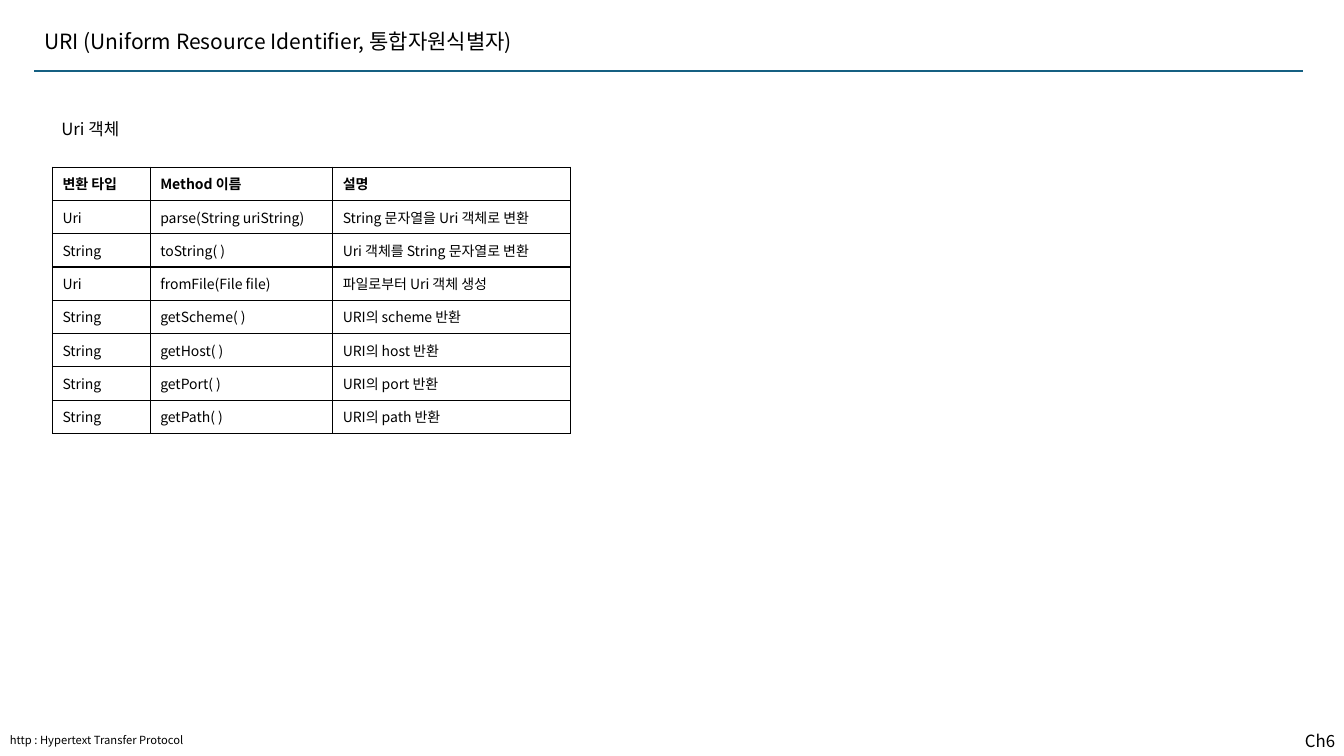
from lxml import etree
from pptx import Presentation
from pptx.dml.color import RGBColor
from pptx.enum.shapes import MSO_CONNECTOR
from pptx.enum.text import MSO_ANCHOR, MSO_AUTO_SIZE, PP_ALIGN
from pptx.oxml.ns import qn
from pptx.util import Pt

PX = 9144
FONT = "Noto Sans CJK KR"
BLACK = RGBColor(0x00, 0x00, 0x00)
WHITE = RGBColor(0xFF, 0xFF, 0xFF)
BLUE = RGBColor(0x15, 0x60, 0x82)
STRAIGHT = MSO_CONNECTOR.STRAIGHT
TOP, MIDDLE = MSO_ANCHOR.TOP, MSO_ANCHOR.MIDDLE
GROW = MSO_AUTO_SIZE.SHAPE_TO_FIT_TEXT
LEFT, RIGHT = PP_ALIGN.LEFT, PP_ALIGN.RIGHT

COLUMN_WIDTHS = (97, 181, 236)
ROW_HEIGHT = 33
URI_METHODS = (
    ("변환 타입", "Method 이름", "설명"),
    ("Uri", "parse(String uriString)", "String 문자열을 Uri 객체로 변환"),
    ("String", "toString( )", "Uri 객체를 String 문자열로 변환"),
    ("Uri", "fromFile(File file)", "파일로부터 Uri 객체 생성"),
    ("String", "getScheme( )", "URI의 scheme 반환"),
    ("String", "getHost( )", "URI의 host 반환"),
    ("String", "getPort( )", "URI의 port 반환"),
    ("String", "getPath( )", "URI의 path 반환"),
)


def px(*lengths):
    return [n * PX for n in lengths]


def write(tf, text, size, bold=False, align=LEFT, spacing=1.0):
    p = tf.paragraphs[0]
    p.alignment, p.line_spacing = align, spacing
    r = p.add_run()
    r.text = text
    for name, value in {"name": FONT, "size": Pt(size), "bold": bold}.items():
        setattr(r.font, name, value)
    r.font.color.rgb = BLACK
    etree.SubElement(r.font._element, qn("a:ea"), typeface=FONT)


def add_label(s, box, text, size, **format_values):
    tf = s.shapes.add_textbox(*px(*box)).text_frame
    tf.word_wrap, tf.auto_size = True, GROW
    write(tf, text, size, **format_values)


def add_header(s, box, text):
    x, y, w, h = box
    title = s.shapes.title
    title.left, title.top, title.width, title.height = px(x, y, 600, 35)
    tf = title.text_frame
    tf.word_wrap, tf.auto_size, tf.vertical_anchor = True, GROW, TOP
    write(tf, text, 15)
    rule = s.shapes.add_connector(STRAIGHT, *px(x, y + h, x + w, y + h))
    rule.line.color.rgb, rule.line.width = BLUE, Pt(1.5)
    etree.SubElement(rule._element.spPr, qn("a:effectLst"))


def add_border(cell):
    tcPr = cell._tc.get_or_add_tcPr()
    for i, side in enumerate(("lnL", "lnR", "lnT", "lnB")):
        ln = etree.Element(qn(f"a:{side}"), w=str(Pt(1)))
        fill = etree.SubElement(ln, qn("a:solidFill"))
        etree.SubElement(fill, qn("a:srgbClr"), val=str(BLACK))
        tcPr.insert(i, ln)


def add_method_table(s, box):
    frame = s.shapes.add_table(len(URI_METHODS), len(COLUMN_WIDTHS), *px(*box))
    table = frame.table
    table.horz_banding = False
    for column, width in zip(table.columns, COLUMN_WIDTHS):
        column.width = width * PX
    for i, texts in enumerate(URI_METHODS):
        table.rows[i].height = ROW_HEIGHT * PX
        for j, text in enumerate(texts):
            cell = table.cell(i, j)
            cell.fill.solid()
            cell.fill.fore_color.rgb = WHITE
            cell.vertical_anchor = MIDDLE
            write(cell.text_frame, text, 10, bold=i == 0)
            add_border(cell)


def add_uri_section(s, box):
    x, y, w, h = box
    add_label(s, (x, y, w, 62), "Uri 객체", 12, spacing=1.5)
    add_method_table(s, (x + 1, y + 63, sum(COLUMN_WIDTHS), h - 63))


def add_footer(s, box):
    x, y, w, h = box
    add_label(s, (x + w - 58, y, 58, h), "Ch6", 12, align=RIGHT)
    add_label(s, (x, y + 3, 242, 24), "http : Hypertext Transfer Protocol", 8)


def main():
    prs = Presentation()
    prs.slide_width, prs.slide_height = px(1333, 750)
    s = prs.slides.add_slide(prs.slide_layouts[5])
    add_header(s, (34, 23, 1258, 47), "URI (Uniform Resource Identifier, 통합자원식별자)")
    add_footer(s, (0, 720, 1334, 30))
    add_uri_section(s, (51, 103, 516, 327))
    prs.save("out.pptx")


if __name__ == "__main__":
    main()
